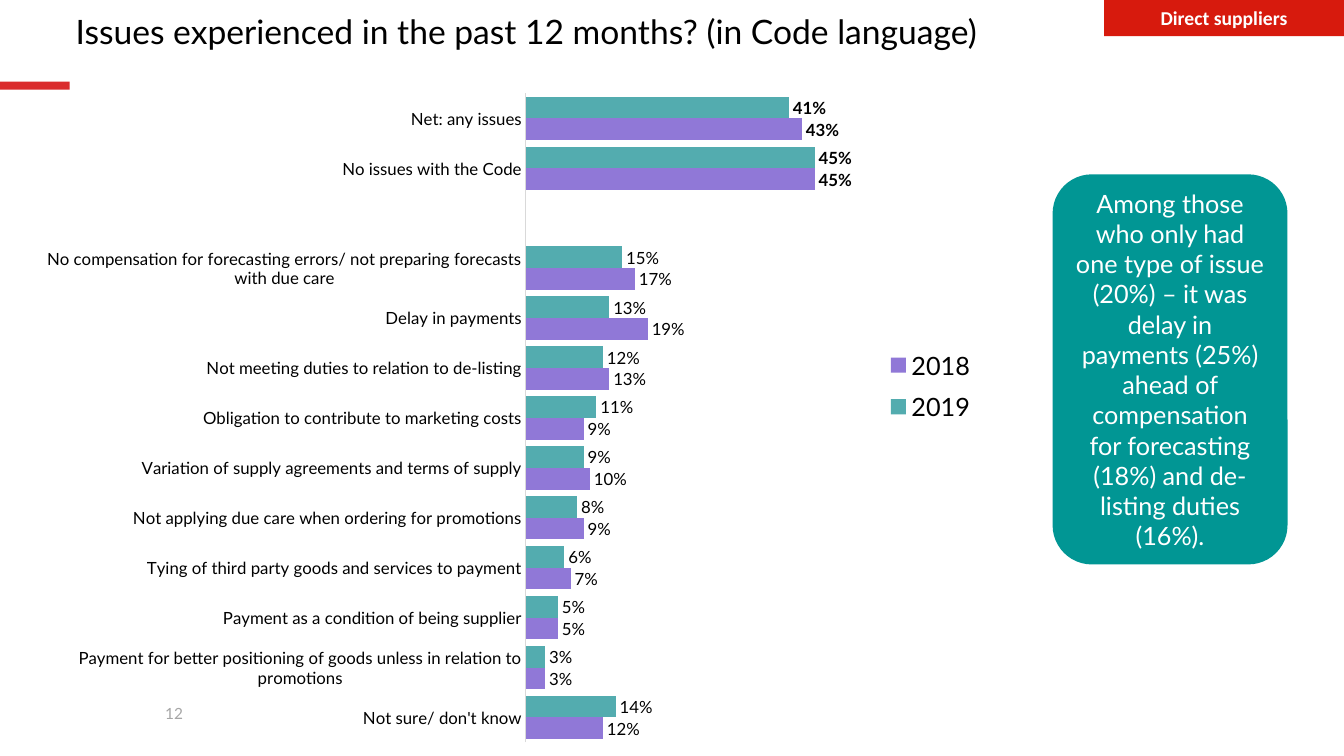
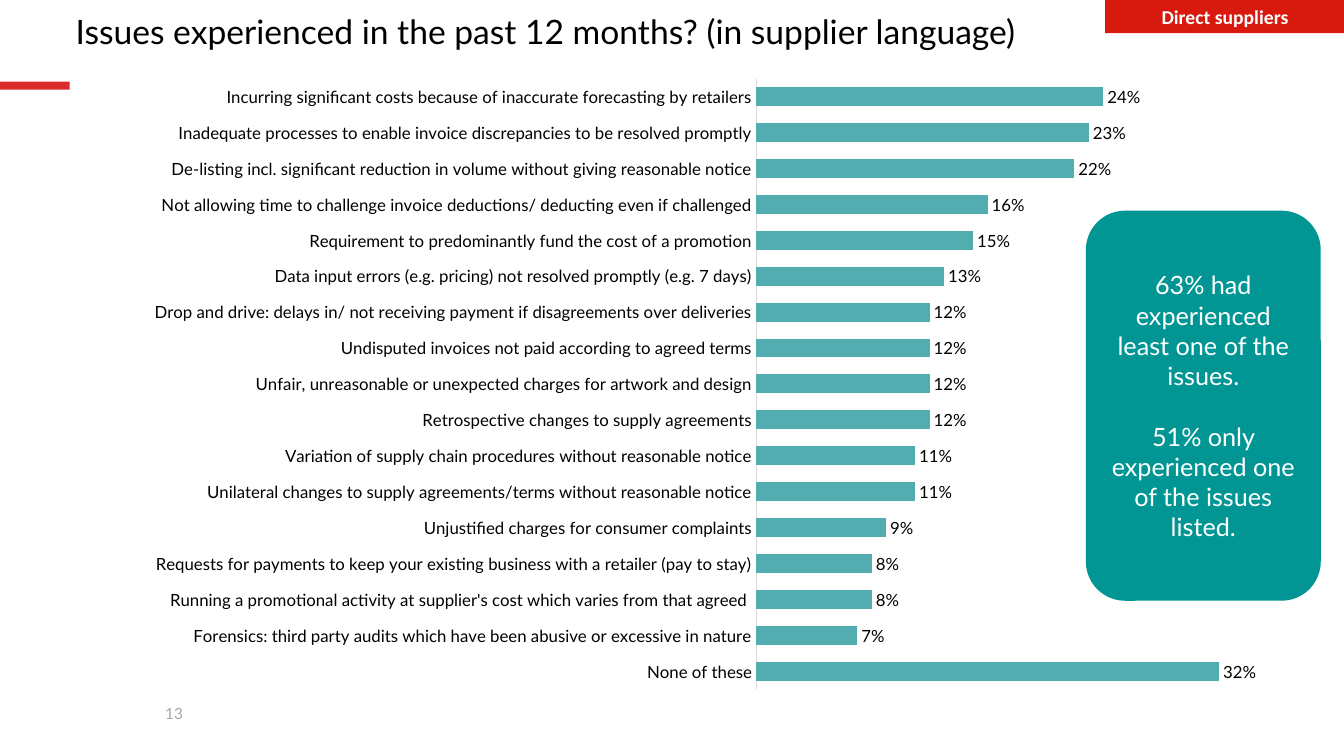
from lxml.etree import SubElement
from pptx import Presentation
from pptx.chart.data import CategoryChartData
from pptx.dml.color import RGBColor
from pptx.enum.chart import XL_CHART_TYPE, XL_LABEL_POSITION, XL_LEGEND_POSITION, XL_TICK_MARK
from pptx.enum.shapes import MSO_SHAPE
from pptx.enum.text import MSO_ANCHOR, PP_ALIGN
from pptx.oxml.ns import qn
from pptx.util import Inches, Pt

FONT = "Lato"
BLACK, WHITE, GREY, AXIS = "000000", "FFFFFF", "A6A6A6", "D9D9D9"
ACCENT, TAG, CALLOUT = "DA2C2D", "D71A0D", "019694"
TEAL, PURPLE = "53ACAF", "9078D7"

CODE_ISSUES = [
    ("Net: any issues", 0.41, 0.43),
    ("No issues with the Code", 0.45, 0.45),
    ("", None, None),
    ("No compensation for forecasting errors/ not preparing forecasts with due care", 0.15, 0.17),
    ("Delay in payments", 0.13, 0.19),
    ("Not meeting duties to relation to de-listing", 0.12, 0.13),
    ("Obligation to contribute to marketing costs", 0.11, 0.09),
    ("Variation of supply agreements and terms of supply", 0.09, 0.10),
    ("Not applying due care when ordering for promotions", 0.08, 0.09),
    ("Tying of third party goods and services to payment", 0.06, 0.07),
    ("Payment as a condition of being supplier", 0.05, 0.05),
    ("Payment for better positioning of goods unless in relation to promotions", 0.03, 0.03),
    ("Not sure/ don't know", 0.14, 0.12),
]

SUPPLIER_ISSUES = [
    ("Incurring significant costs because of inaccurate forecasting by retailers", 0.24),
    ("Inadequate processes to enable invoice discrepancies to be resolved promptly", 0.23),
    ("De-listing incl. significant reduction in volume without giving reasonable notice", 0.22),
    ("Not allowing time to challenge invoice deductions/ deducting even if challenged", 0.16),
    ("Requirement to predominantly fund the cost of a promotion", 0.15),
    ("Data input errors (e.g. pricing) not resolved promptly (e.g. 7 days)", 0.13),
    ("Drop and drive: delays in/ not receiving payment if disagreements over deliveries", 0.12),
    ("Undisputed invoices not paid according to agreed terms", 0.12),
    ("Unfair, unreasonable or unexpected charges for artwork and design", 0.12),
    ("Retrospective changes to supply agreements", 0.12),
    ("Variation of supply chain procedures without reasonable notice", 0.11),
    ("Unilateral changes to supply agreements/terms without reasonable notice", 0.11),
    ("Unjustified charges for consumer complaints", 0.09),
    ("Requests for payments to keep your existing business with a retailer (pay to stay)", 0.08),
    ("Running a promotional activity at supplier's cost which varies from that agreed ", 0.08),
    ("Forensics: third party audits which have been abusive or excessive in nature", 0.07),
    ("None of these", 0.32),
]

SLIDES = [
    {
        "number": "12",
        "title": "Issues experienced in the past 12 months? (in Code language)",
        "tag": (10.95, 0, 2.38, 0.36),
        "chart": {
            "rows": CODE_ISSUES, "series": [("2019", TEAL), ("2018", PURPLE)],
            "box": (0.39, 0.68, 9.93, 6.7), "plot": (0.486, 0.037, 0.513, 0.961),
            "top": 0.8, "gap": 30, "bold_rows": 2, "legend": (0.83, 0.4, 0.12, 0.14),
        },
        "callout_at": (10.44, 1.73),
        "callout": ["Among those who only had one type of issue (20%) – it was delay in payments "
                    "(25%) ahead of compensation for forecasting (18%) and de-listing duties (16%)."],
    },
    {
        "number": "13",
        "title": "Issues experienced in the past 12 months? (in supplier language)",
        "tag": (10.96, 0, 2.38, 0.33),
        "chart": {
            "rows": SUPPLIER_ISSUES, "series": [("Series 1", TEAL)],
            "box": (1, 0.76, 12.24, 6.53), "plot": (0.531, 0.003, 0.469, 0.928),
            "top": 0.4, "gap": 90,
        },
        "callout_at": (10.77, 2.09),
        "callout": ["63% had experienced least one of the issues.",
                    "51% only experienced one of the issues listed."],
    },
]


def rgb(color):
    return RGBColor.from_string(color)


def inches(box):
    return [Inches(v) for v in box]


def style_font(font, size, color=BLACK, name=FONT, bold=False):
    font.size, font.name, font.bold = Pt(size), name, bold
    font.color.rgb = rgb(color)


def write(tf, lines, size, color=BLACK, name=FONT, bold=False, align=PP_ALIGN.LEFT,
          anchor=MSO_ANCHOR.MIDDLE, spacing=None, gap=0):
    tf.word_wrap = True
    tf.vertical_anchor = anchor
    for i, line in enumerate(lines):
        p = tf.paragraphs[0] if i == 0 else tf.add_paragraph()
        p.alignment = align
        if spacing:
            p.line_spacing = spacing
        if i:
            p.space_before = Pt(gap)
        r = p.add_run()
        r.text = line
        style_font(r.font, size, color, name, bold)


def add_block(s, box, fill, shape=MSO_SHAPE.RECTANGLE):
    sp = s.shapes.add_shape(shape, *inches(box))
    sp.shadow.inherit = False
    sp.fill.solid()
    sp.fill.fore_color.rgb = rgb(fill)
    sp.line.fill.background()
    return sp


def set_layout(parent, index, box, inner=False):
    for old in parent.findall(qn("c:layout")):
        parent.remove(old)
    layout = SubElement(parent, qn("c:layout"))
    parent.insert(index, layout)
    manual = SubElement(layout, qn("c:manualLayout"))
    values = [("layoutTarget", "inner")] if inner else []
    values += [("xMode", "edge"), ("yMode", "edge")]
    values += zip("xywh", box)
    for tag, value in values:
        SubElement(manual, qn("c:" + tag)).set("val", str(value))


def add_bars(s, rows, series, box, plot, top, gap, bold_rows=0, legend=None):
    names, *columns = zip(*rows)
    data = CategoryChartData(number_format="0%")
    data.categories = names
    for (name, _), values in zip(series, columns):
        data.add_series(name, values)
    chart = s.shapes.add_chart(XL_CHART_TYPE.BAR_CLUSTERED, *inches(box), data).chart
    style_font(chart.font, 10)
    chart.has_title = False
    chart.has_legend = legend is not None
    if legend:
        chart.legend.position = XL_LEGEND_POSITION.RIGHT
        chart.legend.include_in_layout = False
        style_font(chart.legend.font, 18)
        set_layout(chart.legend._element, 1, legend)
    set_layout(chart._chartSpace.chart.plotArea, 0, plot, inner=True)

    cat = chart.category_axis
    cat.reverse_order = True
    cat.has_major_gridlines = False
    cat.major_tick_mark = cat.minor_tick_mark = XL_TICK_MARK.NONE
    cat.format.line.color.rgb = rgb(AXIS)
    cat.format.line.width = Pt(0.75)
    style_font(cat.tick_labels.font, 12)
    val = chart.value_axis
    val.minimum_scale, val.maximum_scale = 0, top
    val.has_major_gridlines = False
    val.visible = False

    bars = chart.plots[0]
    bars.gap_width, bars.overlap = gap, 0
    bars.vary_by_categories = False
    for ser, (_, color) in zip(bars.series, series):
        ser.format.fill.solid()
        ser.format.fill.fore_color.rgb = rgb(color)
        labels = ser.data_labels
        labels.show_value = True
        labels.number_format, labels.number_format_is_linked = "0%", False
        labels.position = XL_LABEL_POSITION.OUTSIDE_END
        style_font(labels.font, 12)
        for i in range(bold_rows):
            label = ser.points[i].data_label
            style_font(label.font, 12, bold=True)
            label.position = XL_LABEL_POSITION.OUTSIDE_END


def add_slide(prs, number, title, tag, chart, callout_at, callout):
    s = prs.slides.add_slide(prs.slide_layouts[5])
    add_block(s, (0, 0.81, 0.69, 0.08), ACCENT)
    page = s.shapes.add_textbox(*inches((1.54, 6.94, 0.68, 0.29)))
    write(page.text_frame, [number], 11, GREY, anchor=MSO_ANCHOR.TOP)
    sp = add_block(s, tag, TAG)
    write(sp.text_frame, ["Direct suppliers"], 14, WHITE, "Calibri", True, PP_ALIGN.CENTER)
    head = s.shapes.title
    head.left, head.top, head.width, head.height = inches((0.65, 0.1, 11.5, 0.46))
    write(head.text_frame, [title], 24, spacing=0.9)
    add_bars(s, **chart)
    sp = add_block(s, (*callout_at, 2.33, 3.87), CALLOUT, MSO_SHAPE.ROUNDED_RECTANGLE)
    write(sp.text_frame, callout, 18, WHITE, align=PP_ALIGN.CENTER, gap=21.6)


def main():
    prs = Presentation()
    prs.slide_width, prs.slide_height = inches((13.33, 7.5))
    for content in SLIDES:
        add_slide(prs, **content)
    prs.save("out.pptx")


if __name__ == "__main__":
    main()
